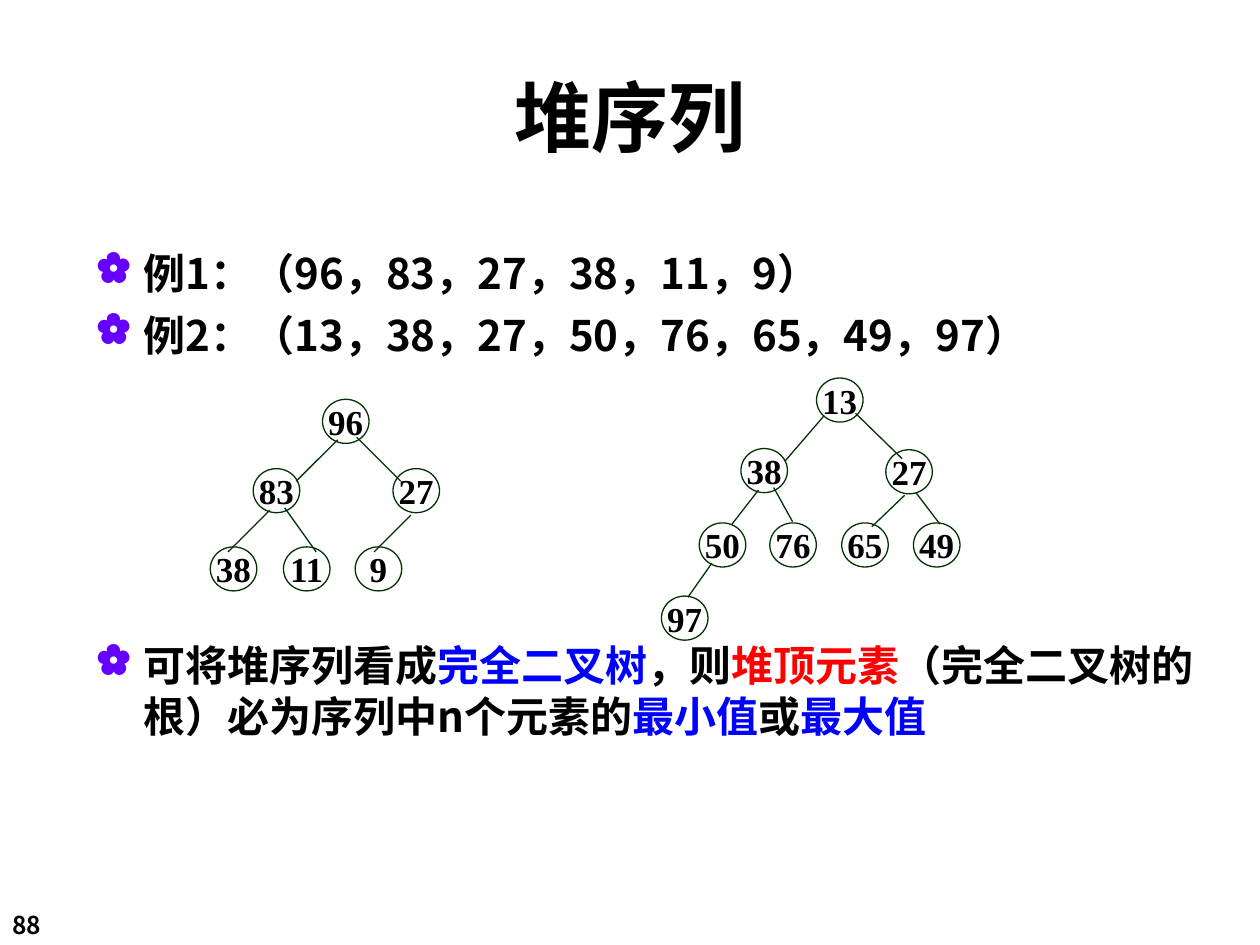
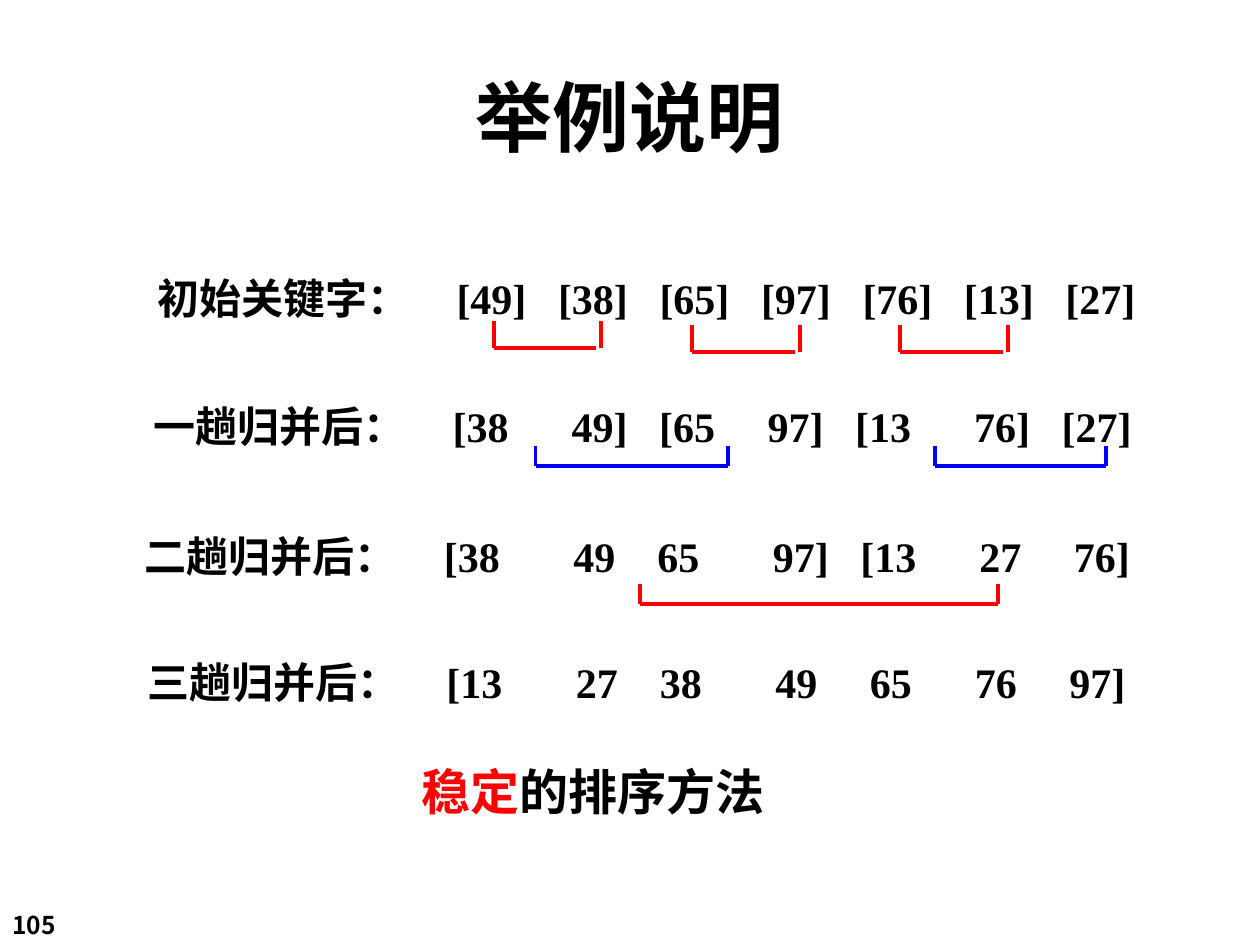
from pptx import Presentation
from pptx.dml.color import RGBColor
from pptx.enum.shapes import MSO_CONNECTOR, MSO_SHAPE
from pptx.enum.text import MSO_ANCHOR, PP_ALIGN
from pptx.oxml.ns import qn
from pptx.util import Pt
from lxml.etree import SubElement

COLORS = {
    "text": "000000",
    "red": "FF0000",
    "blue": "0000FF",
    "bullet": "6600FF",
    "tree": "003300",
}
SANS = "Noto Sans CJK SC"
SERIF = "Times New Roman"
NODE_WIDTH, NODE_HEIGHT = 26.6, 25.2
FIRST_KEY = 171

MAX_HEAP_NODES = [
    ("96", 184.3, 228.2), ("83", 144.7, 267.8), ("27", 224.6, 267.8),
    ("38", 120.2, 312.5), ("11", 162, 312.5), ("9", 203, 312.5),
]
MAX_HEAP_EDGES = [
    (193, 251.3, 169.2, 275), (203.8, 249.8, 229, 275),
    (154.1, 291.6, 130.3, 315.4), (162.7, 290.2, 180.7, 315.4),
    (234.7, 294.5, 213.8, 315.4),
]
MIN_HEAP_NODES = [
    ("13", 466.6, 216), ("38", 423.4, 256.3), ("27", 506.2, 257),
    ("50", 399.6, 298.8), ("76", 439.9, 298.8), ("65", 481, 298.8),
    ("49", 522, 298.8), ("97", 378, 340.6),
]
MIN_HEAP_EDGES = [
    (470.9, 237.6, 448.6, 263.5), (488.9, 236.2, 515.5, 262.1),
    (433.4, 280.1, 418.3, 299.5), (442.1, 278.6, 452.9, 298.1),
    (517, 283, 498.2, 301), (523.4, 281.5, 537.1, 299.5),
    (406.8, 321.8, 393.1, 341.3),
]
MERGE_ROWS = [
    ("初始关键字：", 82.8, 149.8, "[49] [38] [65] [97] [76] [13] [27]",
     [58 * step for step in range(7)]),
    ("一趟归并后：", 80.6, 223.2, "[38 49] [65 97] [13 76] [27]",
     [0, 68, 118, 180, 230, 298, 348]),
    ("二趟归并后：", 75.6, 297.4, "[38 49 65 97] [13 27 76]",
     [0, 74, 122, 188, 238, 306, 360]),
    ("三趟归并后：", 77, 369.4, "[13 27 38 49 65 76 97]",
     [0, 74, 122, 188, 242, 302, 356]),
]
MERGE_BRACKETS = [
    (282.2, 183.2, 343.4, 198.7, "red", 3),
    (395.3, 185.8, 457.2, 200.9, "red", 3),
    (514.1, 185.8, 576, 200.9, "red", 3),
    (306, 254.9, 416.2, 266.4, "blue", 0),
    (534.2, 254.9, 632.2, 266.4, "blue", 0),
    (365.8, 333.7, 570.2, 344.9, "red", 0),
]


def rgb(name):
    return RGBColor.from_string(COLORS[name])


def add_span(para, text, size=24, font=SANS, color="text"):
    span = para.add_run()
    span.text = text
    span.font.size = Pt(size)
    span.font.name = font
    span.font.bold = True
    span.font.color.rgb = rgb(color)
    SubElement(span.font._element, qn("a:ea"), typeface=SANS)


def add_bullet(para):
    props = para._p.get_or_add_pPr()
    props.set("marL", str(Pt(27)))
    props.set("indent", str(-Pt(27)))
    bullet_color = SubElement(props, qn("a:buClr"))
    SubElement(bullet_color, qn("a:srgbClr"), val=COLORS["bullet"])
    SubElement(props, qn("a:buChar"), char="✿")


def add_tabs(para, stops):
    tabs = SubElement(para._p.get_or_add_pPr(), qn("a:tabLst"))
    for stop in stops:
        SubElement(tabs, qn("a:tab"), pos=str(Pt(stop)), algn="l")


def add_box(page, left, top, width, height, anchor=MSO_ANCHOR.TOP):
    box = page.shapes.add_textbox(Pt(left), Pt(top), Pt(width), Pt(height))
    box.text_frame.word_wrap = True
    box.text_frame.vertical_anchor = anchor
    return box.text_frame


def add_line(page, x1, y1, x2, y2, color, weight):
    line = page.shapes.add_connector(
        MSO_CONNECTOR.STRAIGHT, Pt(x1), Pt(y1), Pt(x2), Pt(y2))
    line.line.color.rgb = rgb(color)
    line.line.width = Pt(weight)
    SubElement(line._element.spPr, qn("a:effectLst"))


def add_page(deck, title, number):
    page = deck.slides.add_slide(deck.slide_layouts[6])
    number_para = add_box(page, 0, 516.2, 60, 24.5).paragraphs[0]
    number_para.line_spacing = Pt(17)
    add_span(number_para, number, size=14)
    title_para = add_box(page, 30, 30, 660, 72, MSO_ANCHOR.MIDDLE).paragraphs[0]
    title_para.alignment = PP_ALIGN.CENTER
    add_span(title_para, title, size=44)
    return page


def add_bullets(page, items):
    frame = add_box(page, 48, 138, 660, 318)
    for index, (space, spans) in enumerate(items):
        para = frame.add_paragraph() if index else frame.paragraphs[0]
        add_bullet(para)
        para.line_spacing = Pt(29)
        para.space_before = Pt(space)
        for text, color in spans:
            add_span(para, text, color=color)


def add_node(page, label, left, top):
    node = page.shapes.add_shape(
        MSO_SHAPE.OVAL, Pt(left), Pt(top), Pt(NODE_WIDTH), Pt(NODE_HEIGHT))
    node.shadow.inherit = False
    node.fill.background()
    node.line.color.rgb = rgb("tree")
    node.line.width = Pt(0.75)
    frame = node.text_frame
    frame.word_wrap = False
    frame.vertical_anchor = MSO_ANCHOR.MIDDLE
    para = frame.paragraphs[0]
    para.alignment = PP_ALIGN.CENTER
    add_span(para, label, size=20, font=SERIF)


def add_tree(page, nodes, edges):
    for node in nodes:
        add_node(page, *node)
    for edge in edges:
        add_line(page, *edge, "tree", 0.75)


def add_merge_row(page, label, left, top, keys, offsets):
    para = add_box(page, left, top, 590, 36).paragraphs[0]
    add_tabs(para, [FIRST_KEY + offset for offset in offsets])
    para.line_spacing = Pt(31)
    add_span(para, "\t".join([label, *keys.split()]), font=SERIF)


def add_bracket(page, left, top, right, bottom, color, gap):
    add_line(page, left, top, left, bottom, color, 2.25)
    add_line(page, left, bottom, right - gap, bottom, color, 2.25)
    add_line(page, right, bottom, right, top, color, 2.25)


def build_heap_page(deck):
    page = add_page(deck, "堆序列", "88")
    add_bullets(page, [
        (0, [("例1：（96，83，27，38，11，9）", "text")]),
        (6, [("例2：（13，38，27，50，76，65，49，97）", "text")]),
        (160, [
            ("可将堆序列看成", "text"), ("完全二叉树", "blue"),
            ("，则", "text"), ("堆顶元素", "red"),
            ("（完全二叉树的根）必为序列中n个元素的", "text"),
            ("最小值", "blue"), ("或", "text"), ("最大值", "blue"),
        ]),
    ])
    add_tree(page, MAX_HEAP_NODES, MAX_HEAP_EDGES)
    add_tree(page, MIN_HEAP_NODES, MIN_HEAP_EDGES)


def build_merge_page(deck):
    page = add_page(deck, "举例说明", "105")
    for row in MERGE_ROWS:
        add_merge_row(page, *row)
    for bracket in MERGE_BRACKETS:
        add_bracket(page, *bracket)
    para = add_box(page, 234, 432, 246, 37.4).paragraphs[0]
    para.line_spacing = Pt(33)
    add_span(para, "稳定", size=28, font=SERIF, color="red")
    add_span(para, "的排序方法", size=28, font=SERIF)


def main():
    deck = Presentation()
    deck.slide_width, deck.slide_height = Pt(720), Pt(540)
    build_heap_page(deck)
    build_merge_page(deck)
    deck.save("out.pptx")


if __name__ == "__main__":
    main()
